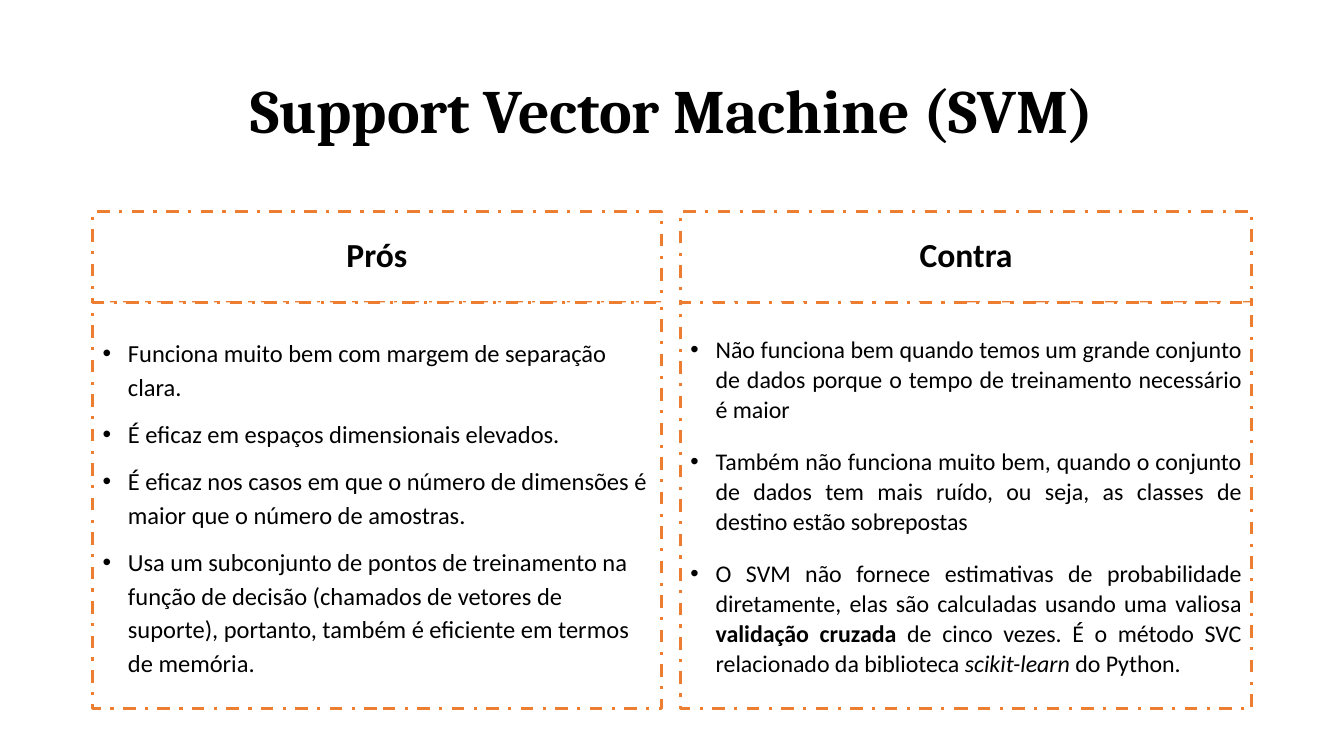
from dataclasses import dataclass

from lxml.etree import SubElement
from pptx import Presentation
from pptx.dml.color import RGBColor
from pptx.enum.dml import MSO_LINE_DASH_STYLE as Dash
from pptx.enum.text import MSO_ANCHOR as Anchor, MSO_AUTO_SIZE as AutoSize, PP_ALIGN as Align
from pptx.oxml.ns import qn
from pptx.shapes.placeholder import SlidePlaceholder
from pptx.text.text import TextFrame, _Paragraph as Paragraph
from pptx.util import Pt

BLACK, WHITE, ORANGE = "000000", "FFFFFF", "ED7D31"
HEADING_TOP, HEADING_HEIGHT, POINTS_HEIGHT = 151.2, 64.8, 290.2
BULLET_INDENT = 18


@dataclass(frozen=True)
class Span:
    text: str
    bold: bool = False
    italic: bool = False


@dataclass(frozen=True)
class Column:
    heading: str
    points: list[list[Span]]
    heading_idx: int
    points_idx: int
    left: float
    width: float
    size: float
    line_spacing: float
    space_after: float
    align: Align


COLUMNS = [
    Column(
        "Prós",
        [
            [Span("Funciona muito bem com margem de separação clara.")],
            [Span("É eficaz em espaços dimensionais elevados.")],
            [Span("É eficaz nos casos em que o número de dimensões é maior que o "
                  "número de amostras.")],
            [Span("Usa um subconjunto de pontos de treinamento na função de decisão "
                  "(chamados de vetores de suporte), portanto, também é eficiente em "
                  "termos de memória.")],
        ],
        heading_idx=1, points_idx=2, left=66.2, width=406.1,
        size=17.5, line_spacing=1.14, space_after=0, align=Align.LEFT,
    ),
    Column(
        "Contra",
        [
            [Span("Não funciona bem quando temos um grande conjunto de dados porque o "
                  "tempo de treinamento necessário é maior")],
            [Span("Também não funciona muito bem, quando o conjunto de dados tem mais "
                  "ruído, ou seja, as classes de destino estão sobrepostas")],
            [Span("O SVM não fornece estimativas de probabilidade diretamente, elas são "
                  "calculadas usando uma valiosa "),
             Span("validação cruzada", bold=True),
             Span(" de cinco vezes. É o método SVC relacionado da biblioteca "),
             Span("scikit-learn ", italic=True),
             Span("do Python.")],
        ],
        heading_idx=3, points_idx=4, left=486, width=408.2,
        size=17.1, line_spacing=1.04, space_after=6, align=Align.JUSTIFY,
    ),
]


def rgb(color: str) -> RGBColor:
    return RGBColor.from_string(color)


def place(holder: SlidePlaceholder, left: float, top: float,
          width: float, height: float) -> TextFrame:
    holder.left, holder.top = Pt(left), Pt(top)
    holder.width, holder.height = Pt(width), Pt(height)
    frame = holder.text_frame
    frame.word_wrap = True
    frame.auto_size = AutoSize.NONE
    frame.vertical_anchor = Anchor.MIDDLE
    return frame


def outline(holder: SlidePlaceholder) -> None:
    holder.fill.solid()
    holder.fill.fore_color.rgb = rgb(WHITE)
    holder.line.color.rgb = rgb(ORANGE)
    holder.line.width = Pt(2.25)
    holder.line.dash_style = Dash.DASH_DOT


def write(paragraph: Paragraph, spans: list[Span], size: float, font: str = "Calibri",
          align: Align = Align.CENTER, line_spacing: float = 0.9,
          before: float = 10, after: float = 0) -> None:
    paragraph.alignment = align
    paragraph.line_spacing = line_spacing
    paragraph.space_before, paragraph.space_after = Pt(before), Pt(after)
    for span in spans:
        run = paragraph.add_run()
        run.text = span.text
        run.font.name, run.font.size = font, Pt(size)
        run.font.bold, run.font.italic = span.bold, span.italic
        run.font.color.rgb = rgb(BLACK)


def add_bullet(paragraph: Paragraph) -> None:
    properties = paragraph._p.get_or_add_pPr()
    properties.set("marL", str(Pt(BULLET_INDENT)))
    properties.set("indent", str(-Pt(BULLET_INDENT)))
    SubElement(properties, qn("a:buFont"), typeface="Arial")
    SubElement(properties, qn("a:buChar"), char="•")


def fill_column(holders: dict[int, SlidePlaceholder], column: Column) -> None:
    # Heading
    heading = holders[column.heading_idx]
    heading_frame = place(heading, column.left, HEADING_TOP, column.width, HEADING_HEIGHT)
    outline(heading)
    write(heading_frame.paragraphs[0], [Span(column.heading, bold=True)], 24)

    # Bulleted points
    points = holders[column.points_idx]
    points_frame = place(points, column.left, HEADING_TOP + HEADING_HEIGHT,
                         column.width, POINTS_HEIGHT)
    outline(points)
    for number, spans in enumerate(column.points):
        point = points_frame.add_paragraph() if number else points_frame.paragraphs[0]
        write(point, spans, column.size, align=column.align,
              line_spacing=column.line_spacing, after=column.space_after)
        add_bullet(point)


def main() -> None:
    deck = Presentation()
    deck.slide_width, deck.slide_height = Pt(960), Pt(540)
    comparison = deck.slides.add_slide(deck.slide_layouts.get_by_name("Comparison"))
    holders = {holder.placeholder_format.idx: holder for holder in comparison.placeholders}

    # Title
    title_frame = place(comparison.shapes.title, 66.2, 28.8, 828, 104.4)
    write(title_frame.paragraphs[0], [Span("Support Vector Machine (SVM)", bold=True)],
          44, font="Cambria", before=0)

    # Pros and cons
    for column in COLUMNS:
        fill_column(holders, column)

    deck.save("out.pptx")


if __name__ == "__main__":
    main()
